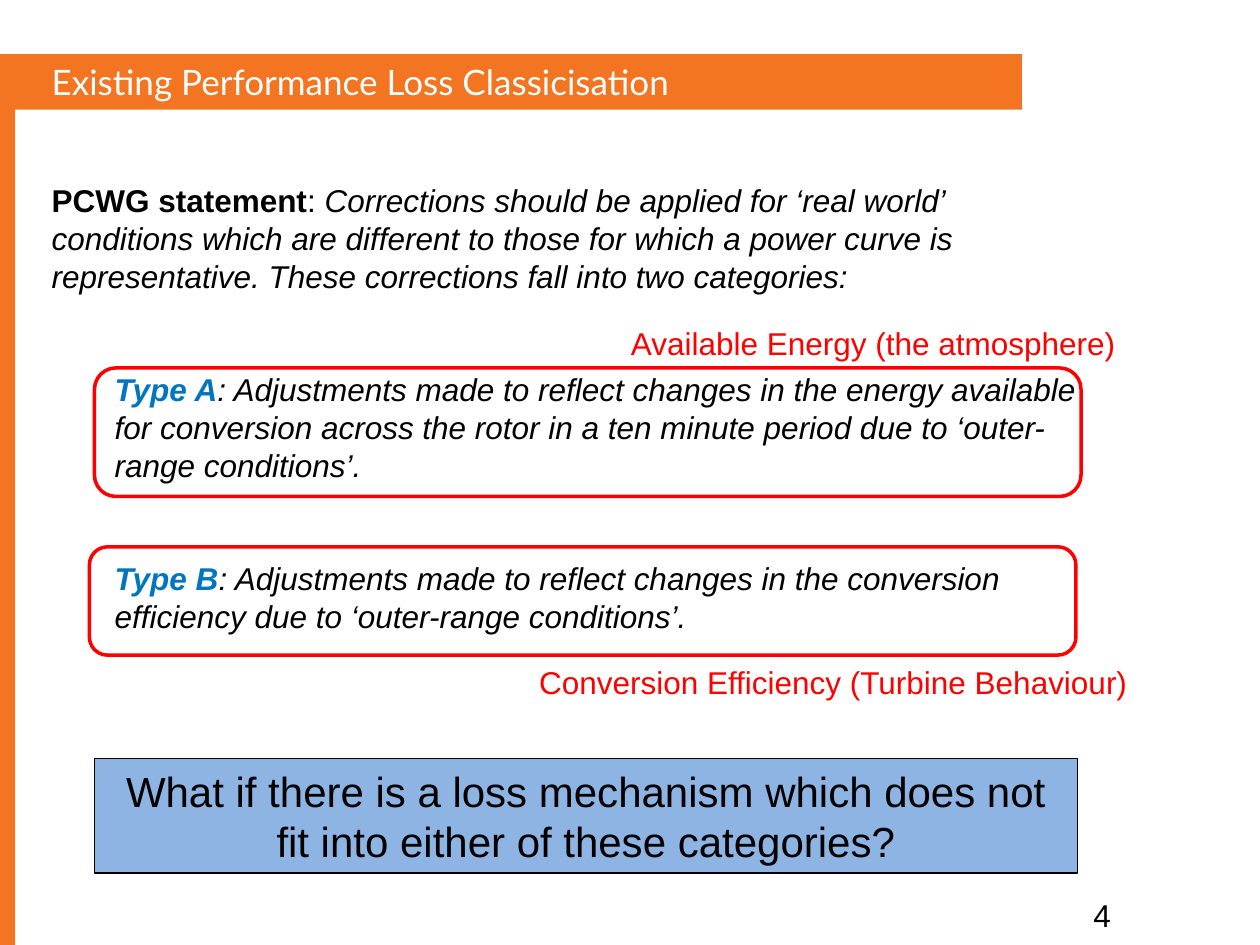
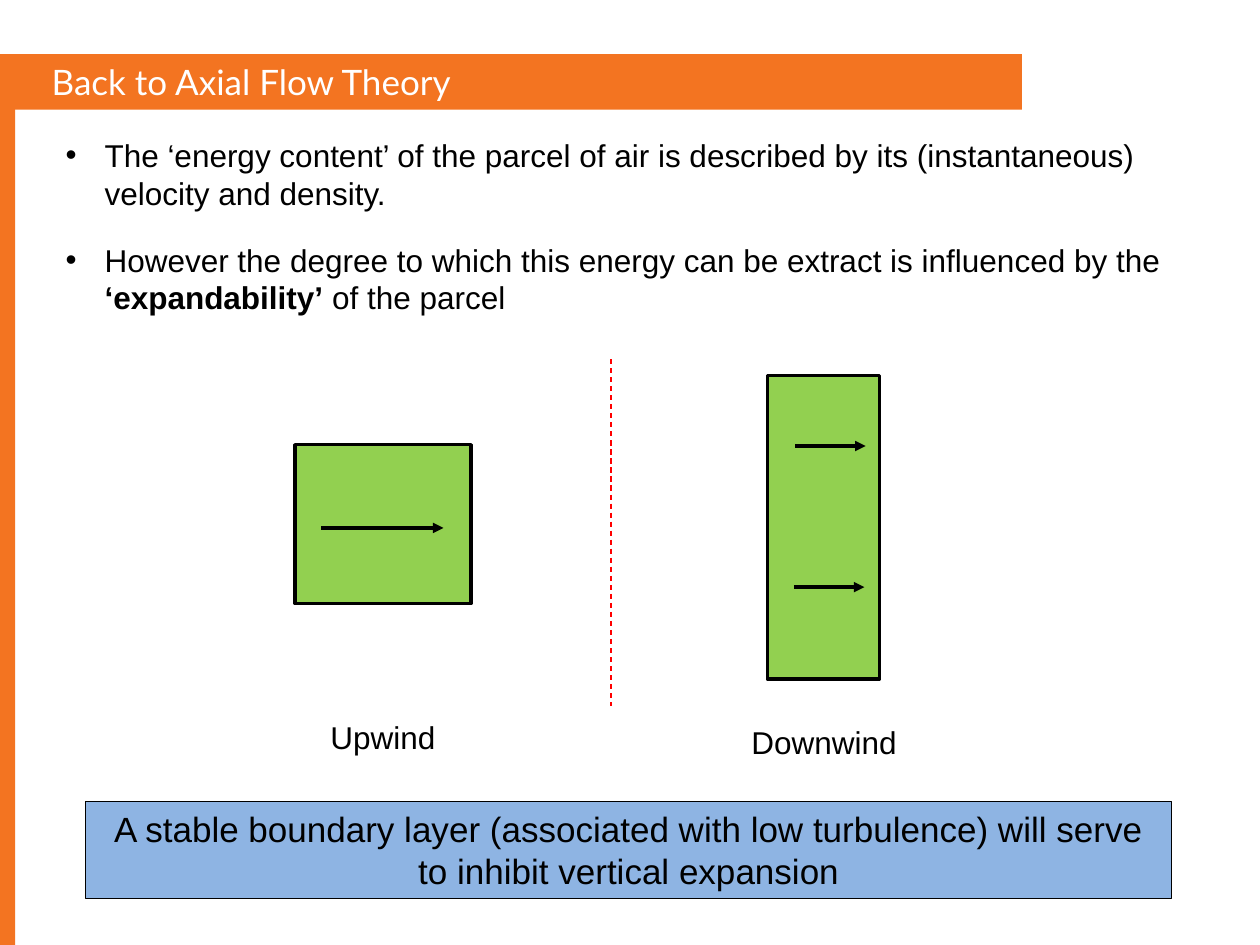
import pptx
import pptx.util
import pptx.dml.color
import pptx.enum.dml
import pptx.enum.shapes
import pptx.enum.text
import pptx.oxml.ns
import lxml.etree

Inches = pptx.util.Inches
Pt = pptx.util.Pt
SHAPE = pptx.enum.shapes.MSO_SHAPE
ALIGN = pptx.enum.text.PP_ALIGN
ANCHOR = pptx.enum.text.MSO_ANCHOR

COLORS = {
    "band": "F37421",
    "white": "FFFFFF",
    "black": "000000",
    "type": "0076C0",
    "red": "FF0000",
    "callout": "8EB4E3",
    "parcel": "92D050",
}


def rgb(name):
    return pptx.dml.color.RGBColor.from_string(COLORS[name])


def add_xml(parent, tag, **attrs):
    return lxml.etree.SubElement(parent, pptx.oxml.ns.qn(tag), attrs)


class Deck:
    font = "Arial"
    title_font = "Lato"

    def __init__(self):
        self.prs = pptx.Presentation()
        self.prs.slide_width = Inches(10)
        self.prs.slide_height = Inches(7.5)
        self.layout = self.prs.slide_layouts[1]
        self.s = None

    def place(self, sp, box):
        sp.left, sp.top, sp.width, sp.height = map(Inches, box)

    def new_slide(self, title):
        first = self.s is None
        self.s = self.prs.slides.add_slide(self.layout)
        if first:
            self.add_bands()
        sp = self.s.shapes.title
        self.place(sp, (0.31, 0.47, 6.05, 0.35))
        tf = sp.text_frame
        tf.auto_size = pptx.enum.text.MSO_AUTO_SIZE.NONE
        tf.vertical_anchor = ANCHOR.MIDDLE
        self.paragraph(tf.paragraphs[0], [(title, {})], 20, "white", font=self.title_font)

    def add_bands(self):
        for i, box in enumerate([(0, 0.43, 8.11, 0.44), (0, 0.8, 0.12, 6.7)]):
            sp = self.shape(SHAPE.RECTANGLE, box, fill="band")
            sp._element.nvSpPr.cNvPr.set("id", str(20 + i))
            self.layout.shapes._spTree.insert(2 + i, sp._element)

    def paragraph(self, p, runs, size=18, color="black", align=ALIGN.LEFT,
                  font=None, margin=0, bullet=None, before=0):
        p.alignment = align
        p.line_spacing = Pt(size * 1.2)
        p.space_before = Pt(before)
        pPr = p._p.get_or_add_pPr()
        pPr.set("marL", str(Inches(margin)))
        pPr.set("indent", str(-Inches(margin) if bullet else 0))
        if bullet:
            add_xml(pPr, "a:buFont", typeface=self.font)
            add_xml(pPr, "a:buChar", char=bullet)
        else:
            add_xml(pPr, "a:buNone")
        p.font.name = font or self.font
        p.font.size = Pt(size)
        p.font.color.rgb = rgb(color)
        for text, style in runs:
            r = p.add_run()
            r.text = text
            if "b" in style:
                r.font.bold = style["b"]
            if "i" in style:
                r.font.italic = style["i"]
            if "color" in style:
                r.font.color.rgb = rgb(style["color"])

    def body(self, box, paragraphs):
        sp = self.s.placeholders[1]
        self.place(sp, box)
        tf = sp.text_frame
        tf.auto_size = pptx.enum.text.MSO_AUTO_SIZE.NONE
        tf.vertical_anchor = ANCHOR.TOP
        for i, (runs, style) in enumerate(paragraphs):
            p = tf.add_paragraph() if i else tf.paragraphs[0]
            self.paragraph(p, runs, **style)

    def text(self, box, text, **style):
        tf = self.s.shapes.add_textbox(*map(Inches, box)).text_frame
        tf.word_wrap = True
        self.paragraph(tf.paragraphs[0], [(text, {})], **style)

    def shape(self, kind, box, fill=None, line=None, width=2):
        sp = self.s.shapes.add_shape(kind, *map(Inches, box))
        sp.shadow.inherit = False
        if fill:
            sp.fill.solid()
            sp.fill.fore_color.rgb = rgb(fill)
        else:
            sp.fill.background()
        if line:
            sp.line.color.rgb = rgb(line)
            sp.line.width = Pt(width)
        else:
            sp.line.fill.background()
        return sp

    def callout(self, box, text, size):
        sp = self.shape(SHAPE.RECTANGLE, box, "callout", "black", 0.75)
        tf = sp.text_frame
        tf.word_wrap = True
        self.paragraph(tf.paragraphs[0], [(text, {})], size, align=ALIGN.CENTER)

    def line(self, x1, y1, x2, y2, color="black", width=2, arrow=False, dash=False):
        c = self.s.shapes.add_connector(
            pptx.enum.shapes.MSO_CONNECTOR.STRAIGHT, *map(Inches, (x1, y1, x2, y2)))
        c.line.color.rgb = rgb(color)
        c.line.width = Pt(width)
        if dash:
            c.line.dash_style = pptx.enum.dml.MSO_LINE.DASH
        if arrow:
            add_xml(c.line._get_or_add_ln(), "a:tailEnd", type="triangle")
        add_xml(c._element.spPr, "a:effectLst")
        return c

    def parcel(self, box, arrows):
        parts = [self.shape(SHAPE.RECTANGLE, box, "parcel", "black")]
        parts += [self.line(x, y, x + length, y, arrow=True) for x, y, length in arrows]
        self.s.shapes.add_group_shape(parts)


def loss_slide(deck):
    deck.new_slide("Existing Performance Loss Classicisation")
    deck.text((8.58, 7.06, 1.03, 0.34), "4")
    italic = {"i": True}
    type_name = {"b": True, "i": True, "color": "type"}
    type_style = {"margin": 0.5, "before": 43.2}
    deck.body((0.31, 1.39, 8.47, 4.64), [
        ([("PCWG statement", {"b": True}), (": ", {}),
          ("Corrections should be applied for ‘real world’ conditions which are different "
           "to those for which a power curve is representative. These corrections fall "
           "into two categories:", italic)], {}),
        ([("Type A", type_name),
          (": Adjustments made to reflect changes in the energy available for conversion "
           "across the rotor in a ten minute period due to ‘outer-range conditions’.",
           italic)], type_style),
        ([("Type B", type_name),
          (": Adjustments made to reflect changes in the conversion efficiency due to "
           "‘outer-range conditions’.", italic)], type_style),
    ])
    for frame, label_box, label in [
        ((0.75, 2.92, 7.83, 1.02), (4.91, 2.52, 4.26, 0.4),
         "Available Energy (the atmosphere)"),
        ((0.71, 4.34, 7.83, 0.86), (4.18, 5.21, 5.11, 0.4),
         "Conversion Efficiency (Turbine Behaviour)"),
    ]:
        deck.shape(SHAPE.ROUNDED_RECTANGLE, frame, line="red")
        deck.text(label_box, label, color="red")
    deck.callout((0.75, 6.02, 7.8, 0.91),
                 "What if there is a loss mechanism which does not fit into either of "
                 "these categories?", 24)


def flow_slide(deck):
    deck.new_slide("Back to Axial Flow Theory")
    bullet = {"margin": 0.31, "bullet": "•"}
    deck.body((0.42, 1.03, 9.14, 1.54), [
        ([("The ‘energy content’ of the parcel of air is described by its "
           "(instantaneous) velocity and density.", {})], bullet),
        ([("However the degree to which this energy can be extract is influenced by the ", {}),
          ("‘expandability’", {"b": True}), (" of the parcel", {})],
         {**bullet, "before": 16.5}),
    ])
    deck.parcel((2.34, 3.53, 1.4, 1.26), [(2.55, 4.19, 0.97)])
    deck.parcel((6.09, 2.98, 0.89, 2.41), [(6.31, 3.54, 0.56), (6.3, 4.66, 0.56)])
    deck.text((2.34, 5.65, 1.4, 0.4), "Upwind", align=ALIGN.CENTER)
    deck.text((5.84, 5.69, 1.4, 0.4), "Downwind", align=ALIGN.CENTER)
    deck.line(4.85, 2.85, 4.85, 5.6, "red", 0.75, dash=True)
    deck.callout((0.68, 6.36, 8.62, 0.77),
                 "A stable boundary layer (associated with low turbulence) will serve to "
                 "inhibit vertical expansion", 20)


def main():
    deck = Deck()
    loss_slide(deck)
    flow_slide(deck)
    deck.prs.save("out.pptx")


if __name__ == "__main__":
    main()
